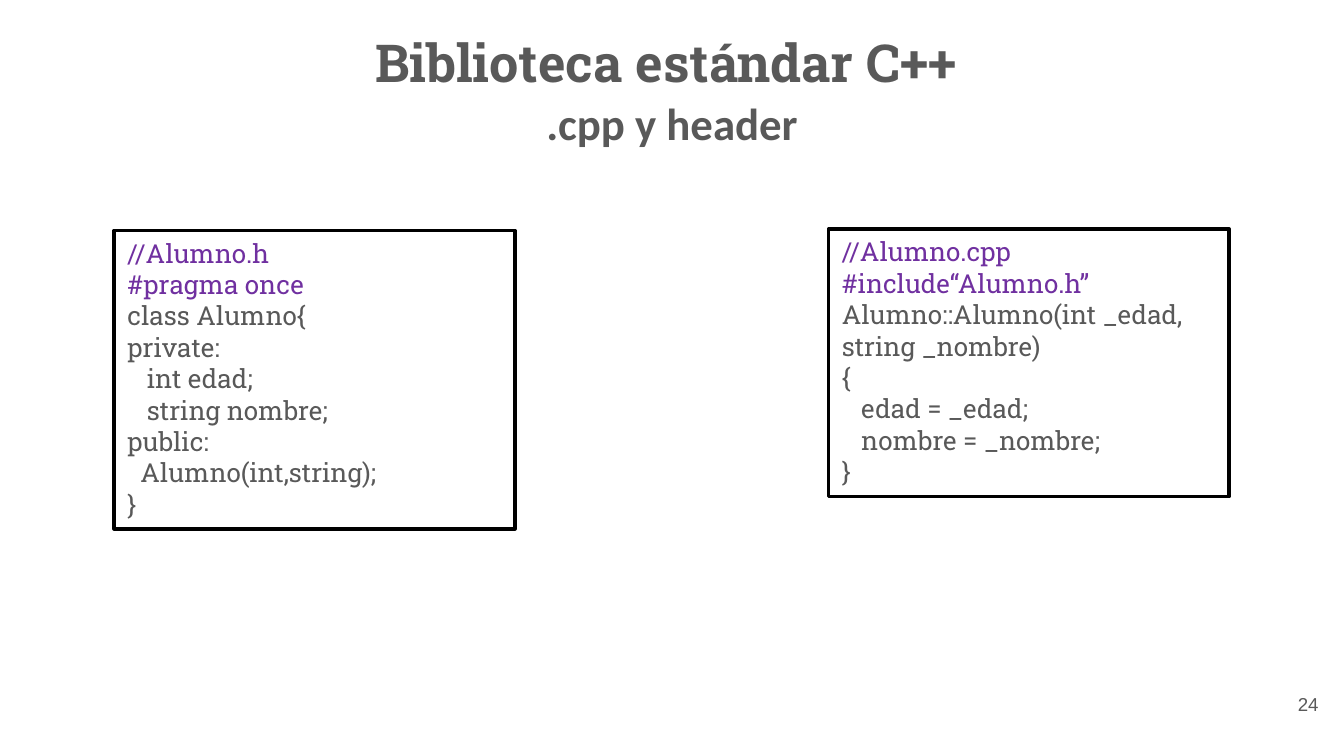
import dataclasses

import pptx
import pptx.dml.color
import pptx.enum.shapes
import pptx.enum.text
import pptx.util

EMU_PER_PX = 4572
ALIGN = pptx.enum.text.PP_ALIGN
ANCHOR = pptx.enum.text.MSO_ANCHOR
AUTO_SIZE = pptx.enum.text.MSO_AUTO_SIZE


@dataclasses.dataclass(frozen=True)
class Theme:
    """Colours, fonts and type sizes of the slide."""

    text: str = "595959"
    directive: str = "7030A0"
    border: str = "000000"
    background: str = "FFFFFF"
    slab: str = "Roboto Slab"
    sans: str = "Calibri"
    plain: str = "Arial"
    title_size: int = 28
    subtitle_size: int = 24
    code_size: int = 14
    number_size: int = 10
    border_width: int = 2


THEME = Theme()

HEADER_CODE = """//Alumno.h
#pragma once
class Alumno{
private:
   int edad;
   string nombre;
public:
  Alumno(int,string);
}"""

SOURCE_CODE = """//Alumno.cpp
#include“Alumno.h”
Alumno::Alumno(int _edad, string _nombre)
{
   edad = _edad;
   nombre = _nombre;
}"""


def px(length):
    """Turn a length in px into EMU."""
    return pptx.util.Emu(length * EMU_PER_PX)


def rgb(value):
    """Turn a hex string into a colour."""
    return pptx.dml.color.RGBColor.from_string(value)


def place(shape, box):
    """Move a shape to a box of left, top, width and height."""
    shape.left, shape.top, shape.width, shape.height = map(px, box)


def set_font(paragraph, name, size, color, bold=False):
    """Format the font of a whole paragraph."""
    font = paragraph.font
    font.name, font.size, font.bold = name, pptx.util.Pt(size), bold
    font.color.rgb = rgb(color)


def set_frame(frame, margins, anchor=ANCHOR.TOP, auto_size=AUTO_SIZE.NONE):
    """Set wrapping, fitting, anchor and the side and top margins."""
    side, top = map(px, margins)
    frame.word_wrap = True
    frame.auto_size = auto_size
    frame.vertical_anchor = anchor
    frame.margin_left = frame.margin_right = side
    frame.margin_top = frame.margin_bottom = top


def add_heading(slide, box):
    """Fill the title placeholder and put the subtitle below it."""
    left, top, width, height = box
    line_height = 92
    pitch = height - line_height
    title = slide.shapes.title
    subtitle = slide.shapes.add_textbox(0, 0, 0, 0)
    lines = (
        (title, "Biblioteca estándar C++ ", THEME.slab, THEME.title_size),
        (subtitle, ".cpp y header", THEME.sans, THEME.subtitle_size),
    )
    for index, (shape, text, font_name, size) in enumerate(lines):
        place(shape, (left, top + index * pitch, width, line_height))
        set_frame(shape.text_frame, (14, 15))
        shape.text_frame.text = text
        paragraph = shape.text_frame.paragraphs[0]
        paragraph.alignment = ALIGN.CENTER
        paragraph.line_spacing = 0.9
        set_font(paragraph, font_name, size, THEME.text, bold=True)


def add_code_box(slide, box, code):
    """Add a bordered box of code with coloured comments and directives."""
    shape = slide.shapes.add_shape(
        pptx.enum.shapes.MSO_SHAPE.RECTANGLE, *map(px, box)
    )
    shape.shadow.inherit = False
    shape.fill.solid()
    shape.fill.fore_color.rgb = rgb(THEME.background)
    shape.line.color.rgb = rgb(THEME.border)
    shape.line.width = pptx.util.Pt(THEME.border_width)
    frame = shape.text_frame
    set_frame(frame, (20, 10), auto_size=AUTO_SIZE.SHAPE_TO_FIT_TEXT)
    frame.text = code
    for paragraph in frame.paragraphs:
        is_directive = paragraph.text.startswith(("//", "#"))
        color = THEME.directive if is_directive else THEME.text
        paragraph.alignment = ALIGN.LEFT
        set_font(paragraph, THEME.slab, THEME.code_size, color)


def add_page_number(slide, box, number):
    """Add the right-aligned page number."""
    frame = slide.shapes.add_textbox(*map(px, box)).text_frame
    set_frame(frame, (12, 12), ANCHOR.MIDDLE, AUTO_SIZE.SHAPE_TO_FIT_TEXT)
    frame.text = str(number)
    paragraph = frame.paragraphs[0]
    paragraph.alignment = ALIGN.RIGHT
    set_font(paragraph, THEME.plain, THEME.number_size, THEME.text)


def main():
    """Build the slide and save it."""
    presentation = pptx.Presentation()
    presentation.slide_width, presentation.slide_height = px(2000), px(1125)
    slide = presentation.slides.add_slide(presentation.slide_layouts[5])
    add_heading(slide, (68, 40, 1864, 188))
    add_code_box(slide, (170, 343, 596, 444), HEADER_CODE)
    add_code_box(slide, (1233, 341, 596, 398), SOURCE_CODE)
    add_page_number(slide, (1854, 1020, 120, 56), 24)
    presentation.save("out.pptx")


if __name__ == "__main__":
    main()
